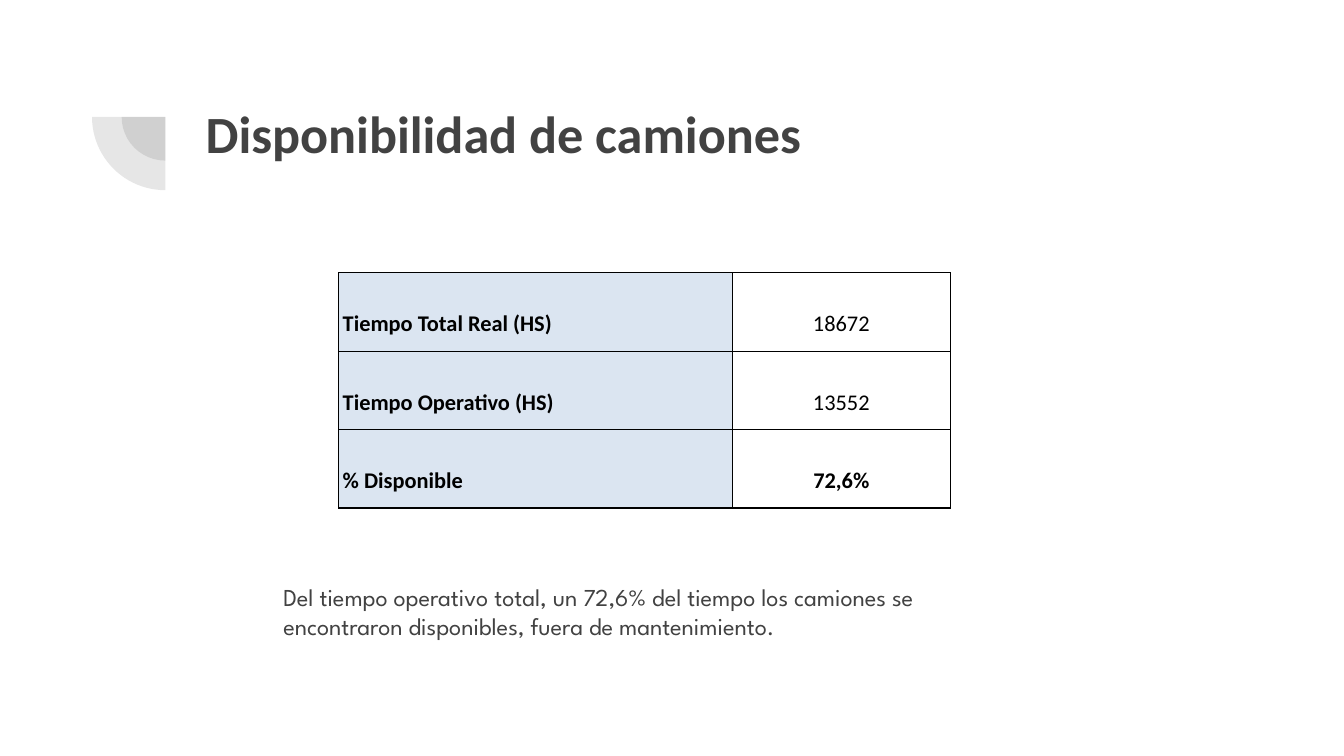
from dataclasses import dataclass

from lxml.etree import SubElement
from pptx import Presentation
from pptx.dml.color import RGBColor as RGB
from pptx.enum.shapes import MSO_SHAPE as Shape
from pptx.enum.text import MSO_ANCHOR as Anchor, MSO_AUTO_SIZE as AutoSize, PP_ALIGN as Align
from pptx.oxml import parse_xml
from pptx.oxml.ns import nsdecls, qn
from pptx.util import Inches, Pt


@dataclass(frozen=True)
class Theme:
    ink: RGB = RGB(0x42, 0x42, 0x42)
    black: RGB = RGB(0, 0, 0)
    label_fill: RGB = RGB(0xDB, 0xE5, 0xF1)
    value_fill: RGB = RGB(0xFF, 0xFF, 0xFF)
    main_font: str = "Calibri"
    note_font: str = "League Spartan"
    title_size: float = 28
    note_size: float = 13
    cell_size: float = 12
    border: float = 0.75
    ornament_alpha: int = 13


THEME = Theme()
WIDTH = 10
HEIGHT = WIDTH * 9 / 16
PAD = 0.1
ORNAMENT_CENTER = (1.23, 0.87)
ORNAMENT_DIAMETERS = (0.65, 1.09)
COLUMNS = (2.93, 1.62)
TABLE_HEIGHT = 1.75

# label, value, whether the value is bold
ROWS = [
    ("Tiempo Total Real (HS)", "18672", False),
    ("Tiempo Operativo (HS)", "13552", False),
    ("% Disponible", "72,6%", True),
]


def style_text(p, font, size, color, bold=False, align=Align.LEFT):
    p.alignment = align
    for r in p.runs:
        r.font.name, r.font.size, r.font.bold = font, Pt(size), bold
        r.font.color.rgb = color


def setup_frame(tf):
    tf.word_wrap = True
    tf.auto_size = AutoSize.NONE
    tf.vertical_anchor = Anchor.TOP
    tf.margin_left = tf.margin_right = tf.margin_top = tf.margin_bottom = Inches(PAD)


def add_ornament(s, diameter):
    """Translucent quarter disc whose corner sits at the shared centre."""
    left, top = (Inches(c - diameter / 2) for c in ORNAMENT_CENTER)
    sp = s.shapes.add_shape(Shape.PIE, left, top, Inches(diameter), Inches(diameter))
    sp.adjustments[0], sp.adjustments[1] = 108, 162
    sp.rotation = 270
    sp.shadow.inherit = False
    sp.line.fill.background()
    sp.fill.solid()
    sp.fill.fore_color.rgb = THEME.ink
    color = sp.element.spPr.find(qn("a:solidFill"))[0]
    SubElement(color, qn("a:alpha"), val=str(THEME.ornament_alpha * 1000))


def add_title(s, text):
    sp = s.shapes.title
    sp.left, sp.top, sp.width, sp.height = map(Inches, (1.43, 0.65, 7.69, 1.09))
    tf = sp.text_frame
    tf.text = text
    setup_frame(tf)
    style_text(tf.paragraphs[0], THEME.main_font, THEME.title_size, THEME.ink, bold=True)


def add_note(s, text):
    tf = s.shapes.add_textbox(*map(Inches, (2.01, 4.23, 5.57, 1.09))).text_frame
    tf.text = text
    setup_frame(tf)
    style_text(tf.paragraphs[0], THEME.note_font, THEME.note_size, THEME.ink)


def set_borders(cell):
    tcPr = cell._tc.get_or_add_tcPr()
    for i, side in enumerate("LRTB"):
        tcPr.insert(i, parse_xml(
            f'<a:ln{side} {nsdecls("a")} w="{Pt(THEME.border)}"><a:solidFill>'
            f'<a:srgbClr val="{THEME.black}"/></a:solidFill></a:ln{side}>'))


def fill_cell(cell, text, fill, bold, align):
    cell.text = text
    cell.vertical_anchor = Anchor.BOTTOM
    cell.margin_left = cell.margin_right = Inches(0.03)
    cell.margin_top = cell.margin_bottom = Inches(PAD)
    cell.fill.solid()
    cell.fill.fore_color.rgb = fill
    p = cell.text_frame.paragraphs[0]
    p.line_spacing = 1.15
    style_text(p, THEME.main_font, THEME.cell_size, THEME.black, bold, align)
    set_borders(cell)


def add_time_table(s):
    box = (2.52, 2.03, sum(COLUMNS), TABLE_HEIGHT)
    table = s.shapes.add_table(len(ROWS), len(COLUMNS), *map(Inches, box)).table
    table.first_row = table.horz_banding = False
    for col, width in zip(table.columns, COLUMNS):
        col.width = Inches(width)
    for i, (label, value, bold) in enumerate(ROWS):
        fill_cell(table.cell(i, 0), label, THEME.label_fill, True, Align.LEFT)
        fill_cell(table.cell(i, 1), value, THEME.value_fill, bold, Align.CENTER)


def main():
    prs = Presentation()
    prs.slide_width, prs.slide_height = Inches(WIDTH), Inches(HEIGHT)
    s = prs.slides.add_slide(prs.slide_layouts[5])  # Title Only

    # Corner ornament and title
    for diameter in ORNAMENT_DIAMETERS:
        add_ornament(s, diameter)
    add_title(s, "Disponibilidad de camiones")

    # Availability figures and their reading
    add_time_table(s)
    add_note(s, "Del tiempo operativo total, un 72,6% del tiempo los camiones se "
                "encontraron disponibles, fuera de mantenimiento.")

    prs.save("out.pptx")


if __name__ == "__main__":
    main()
